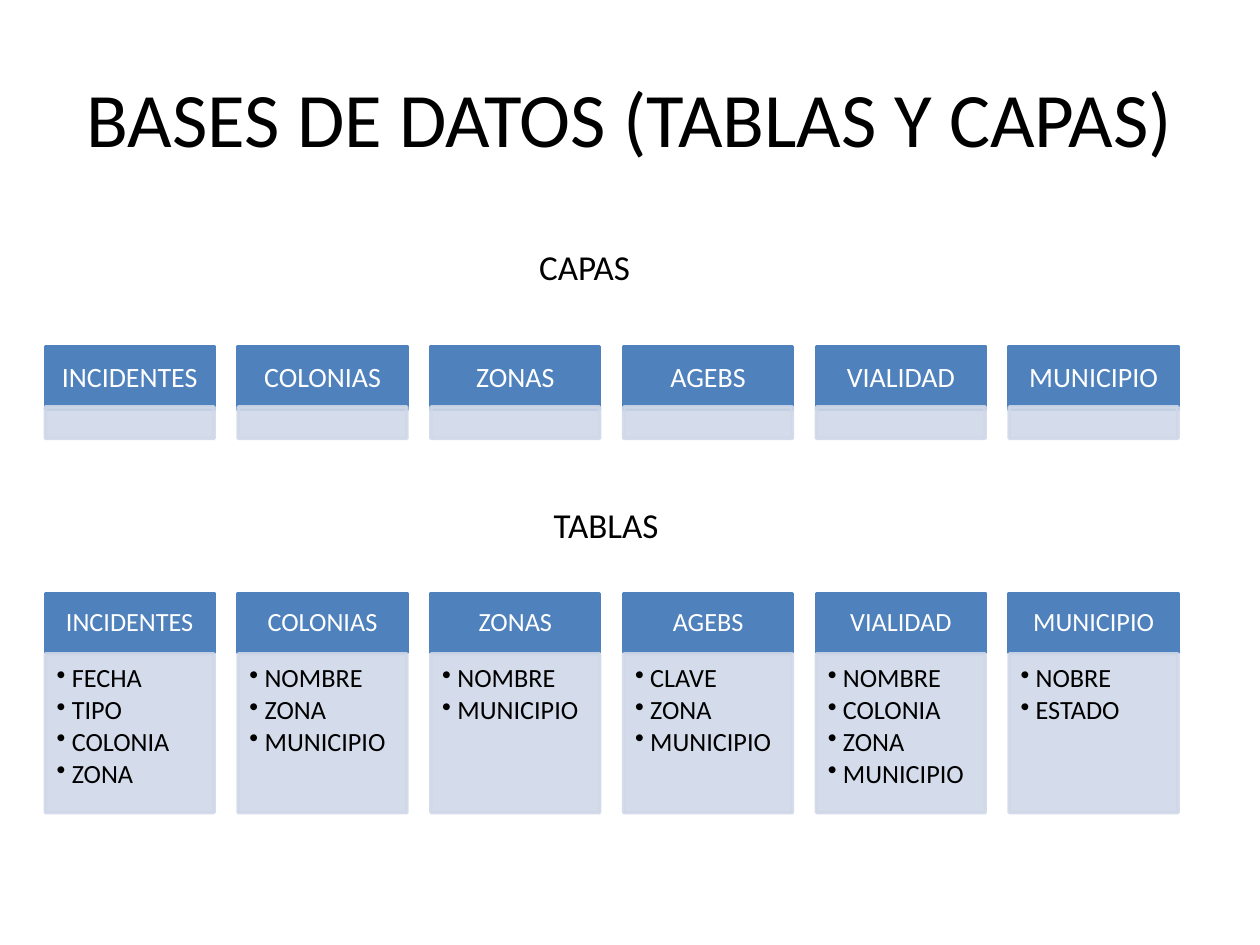
from lxml import etree
from pptx import Presentation
from pptx.dml.color import RGBColor
from pptx.enum.shapes import MSO_SHAPE
from pptx.enum.text import MSO_ANCHOR, PP_ALIGN
from pptx.oxml.ns import qn
from pptx.util import Inches, Pt

RECTANGLE = MSO_SHAPE.RECTANGLE
TOP, MIDDLE = MSO_ANCHOR.TOP, MSO_ANCHOR.MIDDLE
LEFT, CENTER = PP_ALIGN.LEFT, PP_ALIGN.CENTER

BLACK = RGBColor(0x00, 0x00, 0x00)
WHITE = RGBColor(0xFF, 0xFF, 0xFF)
BLUE = RGBColor(0x4F, 0x81, 0xBD)
PALE_BLUE = RGBColor(0xD0, 0xD8, 0xE8)

FONT = "Calibri"
FIRST_LEFT, COLUMN_STEP, COLUMN_WIDTH = 0.36, 1.53, 1.34
BULLET_INDENT = 0.12
HEADER_MARGINS = (0.12, 0.07, 0.12, 0.07)
LIST_MARGINS = (0.09, 0.09, 0.12, 0.13)

TABLES = {
    "INCIDENTES": ["FECHA", "TIPO", "COLONIA", "ZONA"],
    "COLONIAS": ["NOMBRE", "ZONA", "MUNICIPIO"],
    "ZONAS": ["NOMBRE", "MUNICIPIO"],
    "AGEBS": ["CLAVE", "ZONA", "MUNICIPIO"],
    "VIALIDAD": ["NOMBRE", "COLONIA", "ZONA", "MUNICIPIO"],
    "MUNICIPIO": ["NOBRE", "ESTADO"],
}


def set_attributes(target, values):
    for name, value in values.items():
        setattr(target, name, value)


def place(shape, left, top, width, height):
    set_attributes(shape, {
        "left": Inches(left), "top": Inches(top),
        "width": Inches(width), "height": Inches(height),
    })


def write_lines(shape, lines, size, color, anchor=MIDDLE, margins=None, **para_format):
    frame = shape.text_frame
    set_attributes(frame, {"word_wrap": True, "vertical_anchor": anchor})
    if margins:
        sides = ("margin_left", "margin_top", "margin_right", "margin_bottom")
        set_attributes(frame, dict(zip(sides, map(Inches, margins))))
    for index, line in enumerate(lines):
        para = frame.paragraphs[0] if index == 0 else frame.add_paragraph()
        set_attributes(para, {"alignment": CENTER, **para_format})
        span = para.add_run()
        span.text = line
        set_attributes(span.font, {"name": FONT, "size": Pt(size)})
        span.font.color.rgb = color


def add_bullets(shape):
    for para in shape.text_frame.paragraphs:
        properties = para._p.get_or_add_pPr()
        properties.set("marL", str(Inches(BULLET_INDENT)))
        properties.set("indent", str(-Inches(BULLET_INDENT)))
        etree.SubElement(properties, qn("a:buChar")).set("char", "•")


def make_translucent(shape, percent):
    for color in shape._element.spPr.iter(qn("a:srgbClr")):
        etree.SubElement(color, qn("a:alpha")).set("val", str(percent * 1000))


def add_box(page, left, top, height, color):
    box = page.shapes.add_shape(RECTANGLE, 0, 0, 0, 0)
    place(box, left, top, COLUMN_WIDTH, height)
    box.shadow.inherit = False
    box.fill.solid()
    box.fill.fore_color.rgb = color
    box.line.color.rgb = color
    box.line.width = Pt(2)
    return box


def add_row(page, columns, header, body, size):
    for index, (name, fields) in enumerate(columns.items()):
        left = FIRST_LEFT + index * COLUMN_STEP
        header_box = add_box(page, left, *header, BLUE)
        write_lines(header_box, [name], size, WHITE, margins=HEADER_MARGINS,
                    line_spacing=0.9)
        body_box = add_box(page, left, *body, PALE_BLUE)
        make_translucent(body_box, 90)
        if fields:
            write_lines(body_box, fields, size, BLACK, TOP, LIST_MARGINS,
                        alignment=LEFT, level=1, line_spacing=0.9, space_after=Pt(2))
            add_bullets(body_box)


def add_label(page, text, left, top):
    label = page.shapes.add_textbox(0, 0, 0, 0)
    place(label, left, top, 2.28, 0.83)
    write_lines(label, [text], 20, BLACK)


def main():
    deck = Presentation()
    set_attributes(deck, {"slide_width": Inches(10), "slide_height": Inches(7.5)})
    page = deck.slides.add_slide(deck.slide_layouts[5])
    title = page.shapes.title
    place(title, 0.5, 0.3, 9, 1.25)
    write_lines(title, ["BASES DE DATOS (TABLAS Y CAPAS)"], 44, BLACK)
    add_row(page, TABLES, (4.71, 0.47), (5.19, 1.26), 15)
    add_row(page, dict.fromkeys(TABLES), (2.75, 0.5), (3.23, 0.25), 16)
    add_label(page, "CAPAS", 3.5, 1.7)
    add_label(page, "TABLAS", 3.67, 3.75)
    deck.save("out.pptx")


if __name__ == "__main__":
    main()
